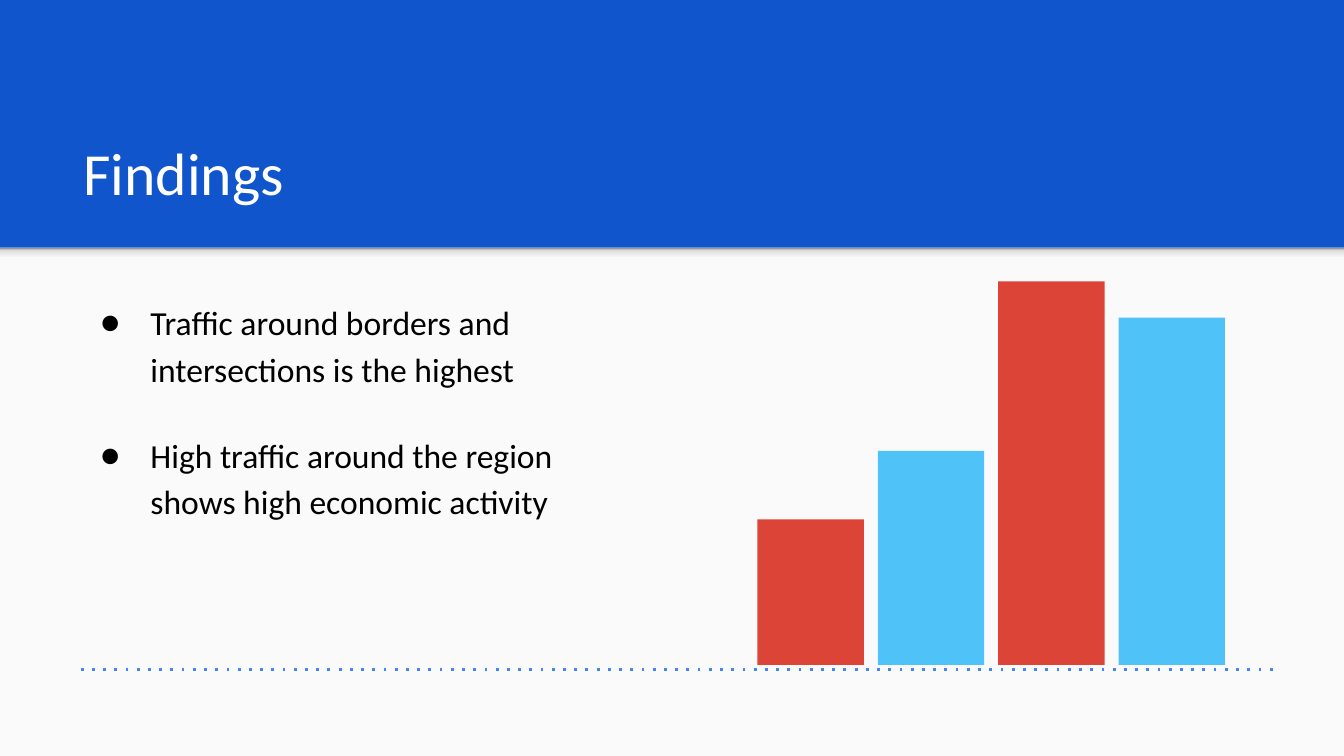
import copy

import lxml.etree
import pptx
import pptx.dml.color
import pptx.enum.dml
import pptx.enum.shapes
import pptx.enum.text
import pptx.oxml.ns
import pptx.util

BLUE = pptx.dml.color.RGBColor(0x11, 0x55, 0xCC)
PAPER = pptx.dml.color.RGBColor(0xFA, 0xFA, 0xFA)
SHADE_LIGHT = pptx.dml.color.RGBColor(0xF9, 0xF9, 0xF9)
SHADE_MIDDLE = pptx.dml.color.RGBColor(0xDE, 0xDE, 0xDE)
SHADE_DARK = pptx.dml.color.RGBColor(0x99, 0x99, 0x99)
WHITE = pptx.dml.color.RGBColor(0xFF, 0xFF, 0xFF)
BLACK = pptx.dml.color.RGBColor(0x00, 0x00, 0x00)
RED = pptx.dml.color.RGBColor(0xDB, 0x44, 0x37)
SKY = pptx.dml.color.RGBColor(0x4F, 0xC3, 0xF7)
LINE_BLUE = pptx.dml.color.RGBColor(0x42, 0x85, 0xF4)

INSET = pptx.util.Inches(0.1)
PLAIN_TABLE_STYLE = "{2D5ABB26-0587-4C30-8999-92F81FD0307C}"

qn = pptx.oxml.ns.qn


def px(count):
    """Turn pixels, 96 to the inch, into EMU."""
    return pptx.util.Emu(count * 9525)


def add_bullet(para, color):
    """Give a paragraph a hanging round bullet."""
    props = para._p.get_or_add_pPr()
    props.set("marL", str(px(48)))
    props.set("indent", str(px(-36)))
    tint = lxml.etree.SubElement(props, qn("a:buClr"))
    lxml.etree.SubElement(tint, qn("a:srgbClr"), val=str(color))
    lxml.etree.SubElement(props, qn("a:buFont"), typeface="Calibri")
    lxml.etree.SubElement(props, qn("a:buChar"), char="●")


def write_text(box, text, *, size, color, anchor, bullet=False, spacing=None, gap=0):
    """Fill a box with one paragraph for each line of text."""
    frame = box.text_frame
    frame.word_wrap = True
    frame.vertical_anchor = anchor
    frame.margin_left = frame.margin_right = INSET
    frame.margin_top = frame.margin_bottom = INSET
    for index, line in enumerate(text.split("\n")):
        para = frame.add_paragraph() if index else frame.paragraphs[0]
        if bullet:
            add_bullet(para, color)
        para.line_spacing = spacing
        if index:
            para.space_before = pptx.util.Pt(gap)
        span = para.add_run()
        span.text = line
        span.font.name = "Calibri"
        span.font.size = pptx.util.Pt(size)
        span.font.color.rgb = color


class Page:
    """Hold the style and the current slide."""

    def __init__(self, deck, background):
        """Add a blank slide with a plain background."""
        self.slide = deck.slides.add_slide(deck.slide_layouts[6])
        self.slide.background.fill.solid()
        self.slide.background.fill.fore_color.rgb = background

    def rect(self, left, top, width, height, color=None):
        """Draw a rectangle without outline or shadow."""
        shape = self.slide.shapes.add_shape(
            pptx.enum.shapes.MSO_SHAPE.RECTANGLE,
            px(left), px(top), px(width), px(height))
        shape.shadow.inherit = False
        shape.line.fill.background()
        if color is not None:
            shape.fill.solid()
            shape.fill.fore_color.rgb = color
        return shape

    def shade(self, left, top, width, height, stops):
        """Draw a rectangle with a gradient that rises from bottom to top."""
        shape = self.rect(left, top, width, height)
        shape.fill.gradient()
        shape.fill.gradient_angle = 90
        stop_list = shape._element.spPr.find(".//" + qn("a:gsLst"))
        while len(stop_list) < len(stops):
            stop_list.append(copy.deepcopy(stop_list[0]))
        for stop, (position, color) in zip(shape.fill.gradient_stops, stops):
            stop.position = position
            stop.color.rgb = color

    def text(self, left, top, width, height, text, **style):
        """Add a text box."""
        box = self.slide.shapes.add_textbox(px(left), px(top), px(width), px(height))
        write_text(box, text, **style)

    def label_row(self, left, top, column_width, height, columns):
        """Add a one-row table of empty, unfilled cells."""
        table = self.slide.shapes.add_table(
            1, columns, px(left), px(top), px(column_width * columns), px(height)).table
        table.first_row = table.horz_banding = False
        table._tbl.tblPr.find(qn("a:tableStyleId")).text = PLAIN_TABLE_STYLE
        for cell in table.iter_cells():
            cell.fill.background()
            cell.margin_top = cell.margin_bottom = 0
            cell.text_frame.paragraphs[0].font.size = pptx.util.Pt(10)

    def dotted_line(self, start, end, color, weight):
        """Draw a dotted straight line."""
        line = self.slide.shapes.add_connector(
            pptx.enum.shapes.MSO_CONNECTOR.STRAIGHT,
            px(start[0]), px(start[1]), px(end[0]), px(end[1]))
        line.line.color.rgb = color
        line.line.width = pptx.util.Pt(weight)
        props = line._element.spPr
        lxml.etree.SubElement(props.find(qn("a:ln")), qn("a:prstDash"), val="dot")
        lxml.etree.SubElement(props, qn("a:effectLst"))

    def bars(self, left, bottom, width, pitch, heights, colors):
        """Draw evenly spaced bars on one base, with alternating colours."""
        for index, height in enumerate(heights):
            self.rect(left + index * pitch, bottom - height, width, height,
                      colors[index % len(colors)])


def main():
    """Build the findings slide."""
    deck = pptx.Presentation()
    deck.slide_width, deck.slide_height = px(960), px(540)
    page = Page(deck, BLUE)
    page.rect(0, 177, 960, 363, PAPER)
    page.shade(0, 177, 960, 11, [(0, SHADE_LIGHT), (0.36, SHADE_LIGHT),
                                 (0.8, SHADE_MIDDLE), (1, SHADE_DARK)])
    page.text(50, 77, 863, 81, "Findings", size=32, color=WHITE,
              anchor=pptx.enum.text.MSO_ANCHOR.BOTTOM)
    page.text(50, 202, 420, 284,
              "Traffic around borders and intersections is the highest\n"
              "High traffic around the region shows high economic activity",
              size=18, color=BLACK, anchor=pptx.enum.text.MSO_ANCHOR.TOP,
              bullet=True, spacing=1.15, gap=21.5)
    bar_pitch = 86
    bar_heights = [104, 153, 274, 248]
    page.label_row(533, 478, bar_pitch, 25, len(bar_heights))
    page.bars(541, 475, 76, bar_pitch, bar_heights, [RED, SKY])
    page.dotted_line((909, 478), (54, 478), LINE_BLUE, 1.5)
    deck.save("out.pptx")


if __name__ == "__main__":
    main()
